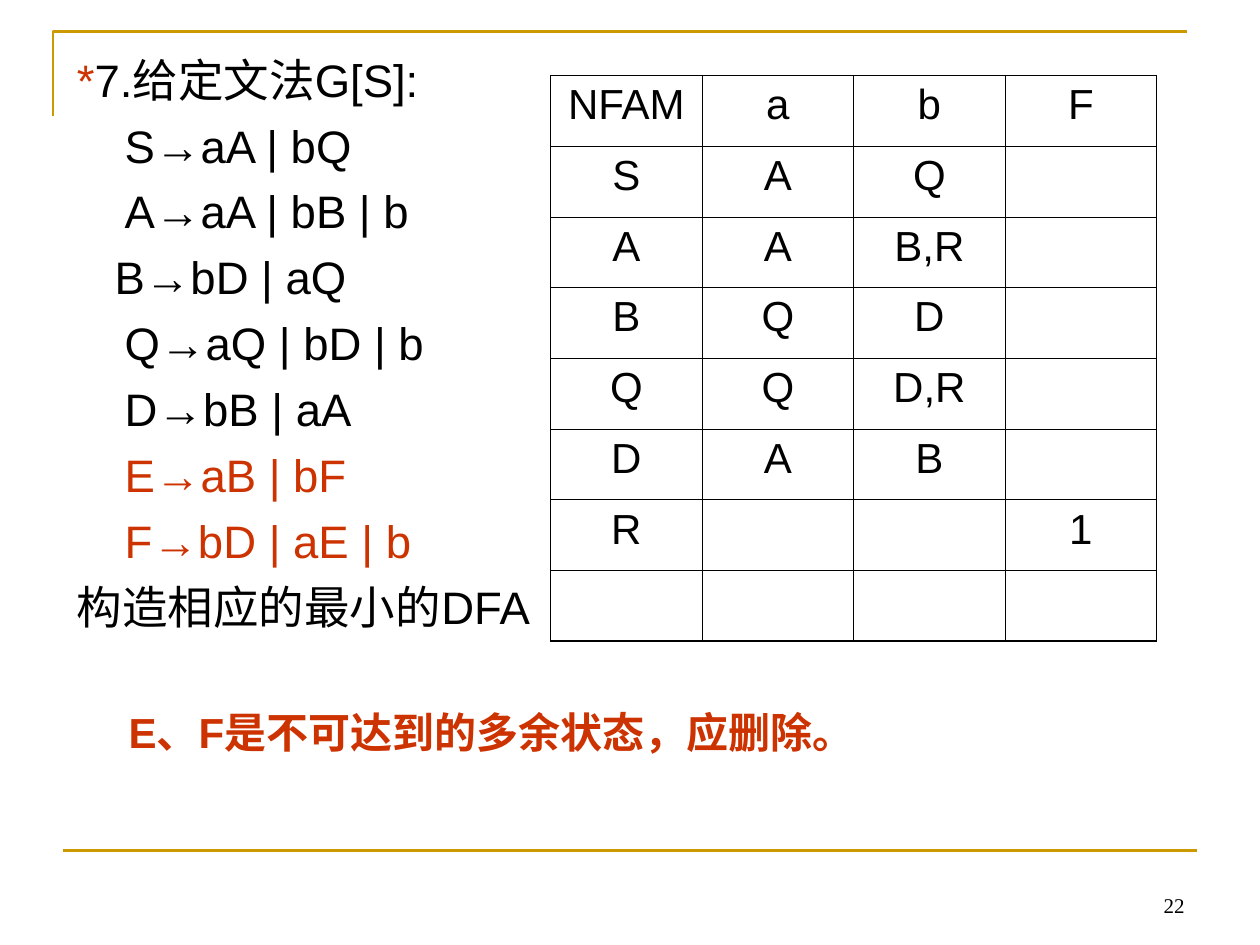
from dataclasses import dataclass
from lxml import etree
from pptx import Presentation
from pptx import util as u
from pptx.dml.color import RGBColor
from pptx.enum import shapes, text
from pptx.oxml import ns

Inches, Pt = u.Inches, u.Pt


@dataclass
class Theme:
    ink: str = "000000"
    red: str = "CC3300"
    gold: str = "CC9900"
    sans: str = "Arial"
    serif: str = "Times New Roman"
    body: int = 26
    cell: int = 24
    page: int = 12
    rule: float = 1.5
    thin: float = 0.45
    thick: float = 1.08


look = Theme()


def put(par, words, size=look.body, color=look.ink, font=look.sans,
        bold=False, align=text.PP_ALIGN.LEFT, gap=0):
    par.alignment = align
    par.space_before = Pt(gap)
    run = par.add_run()
    run.text = words
    run.font.size = Pt(size)
    run.font.name = font
    run.font.bold = bold
    run.font.color.rgb = RGBColor.from_string(color)


def edge(cell, side, width):
    line = etree.SubElement(cell._tc.get_or_add_tcPr(), ns.qn(f"a:ln{side}"), w=str(Pt(width)))
    fill = etree.SubElement(line, ns.qn("a:solidFill"))
    etree.SubElement(fill, ns.qn("a:srgbClr"), val=look.ink)


deck = Presentation()
deck.slide_width, deck.slide_height = Inches(10), Inches(7.5)
slide = deck.slides.add_slide(deck.slide_layouts[1])
title = slide.shapes.title
title.element.getparent().remove(title.element)

pen = slide.shapes.build_freeform(Inches(0.42), Inches(0.92))
pen.add_line_segments([(Inches(0.42), Inches(0.25)), (Inches(9.42), Inches(0.25))], close=False)
frame = pen.convert_to_shape()
frame.shadow.inherit = False
frame.fill.background()
base = slide.shapes.add_connector(shapes.MSO_CONNECTOR.STRAIGHT,
                                  Inches(0.5), Inches(6.75), Inches(9.5), Inches(6.75))
etree.SubElement(base._element.spPr, ns.qn("a:effectLst"))
for item in (frame, base):
    item.line.color.rgb = RGBColor.from_string(look.gold)
    item.line.width = Pt(look.rule)

page = slide.shapes.add_textbox(Inches(7.17), Inches(6.83), Inches(2.33), Inches(0.5))
page.text_frame.word_wrap = True
page.text_frame.vertical_anchor = text.MSO_ANCHOR.BOTTOM
put(page.text_frame.paragraphs[0], "22", size=look.page, font=look.serif,
    align=text.PP_ALIGN.RIGHT)

body = slide.placeholders[1]
body.left, body.top = Inches(0.51), Inches(0.36)
body.width, body.height = Inches(4.42), Inches(4.95)
body.text_frame.auto_size = text.MSO_AUTO_SIZE.NONE
body.text_frame.vertical_anchor = text.MSO_ANCHOR.TOP
rules = [
    (0, [("*", look.red), ("7.给定文法G[S]:", look.ink)]),
    (0.38, [("S→aA | bQ", look.ink)]),
    (0.38, [("A→aA | bB | b", look.ink)]),
    (0.3, [("B→bD | aQ", look.ink)]),
    (0.38, [("Q→aQ | bD | b", look.ink)]),
    (0.38, [("D→bB | aA", look.ink)]),
    (0.38, [("E→aB | bF", look.red)]),
    (0.38, [("F→bD | aE | b", look.red)]),
    (0, [("构造相应的最小的DFA", look.ink)]),
]
for i, (dent, parts) in enumerate(rules):
    par = body.text_frame.add_paragraph() if i else body.text_frame.paragraphs[0]
    for words, color in parts:
        put(par, words, color=color, gap=6.5)
    prop = par._p.get_or_add_pPr()
    prop.set("marL", str(Inches(dent)))
    prop.set("indent", "0")
    etree.SubElement(prop, ns.qn("a:buNone"))

rows = [
    ["NFAM", "a", "b", "F"],
    ["S", "A", "Q", ""],
    ["A", "A", "B,R", ""],
    ["B", "Q", "D", ""],
    ["Q", "Q", "D,R", ""],
    ["D", "A", "B", ""],
    ["R", "", "", "1"],
    ["", "", "", ""],
]
grid = slide.shapes.add_table(len(rows), len(rows[0]), Inches(4.37), Inches(0.6),
                              Inches(4.81), Inches(4.49)).table
grid.first_row = grid.horz_banding = False
for r, row in enumerate(rows):
    for c, words in enumerate(row):
        cell = grid.cell(r, c)
        outer = {"L": c == 0, "R": c == len(row) - 1, "T": r == 0, "B": r == len(rows) - 1}
        for side, rim in outer.items():
            edge(cell, side, look.thick if rim else look.thin)
        cell.fill.background()
        if words:
            put(cell.text_frame.paragraphs[0], words, size=look.cell,
                align=text.PP_ALIGN.CENTER, gap=6)

note = slide.shapes.add_textbox(Inches(0.67), Inches(5.56), Inches(6.46), Inches(0.5))
note.text_frame.word_wrap = True
note.text_frame.auto_size = text.MSO_AUTO_SIZE.SHAPE_TO_FIT_TEXT
put(note.text_frame.paragraphs[0], "E、F是不可达到的多余状态，应删除。", size=look.cell,
    color=look.red, bold=True, align=text.PP_ALIGN.CENTER, gap=15)

deck.save("out.pptx")
